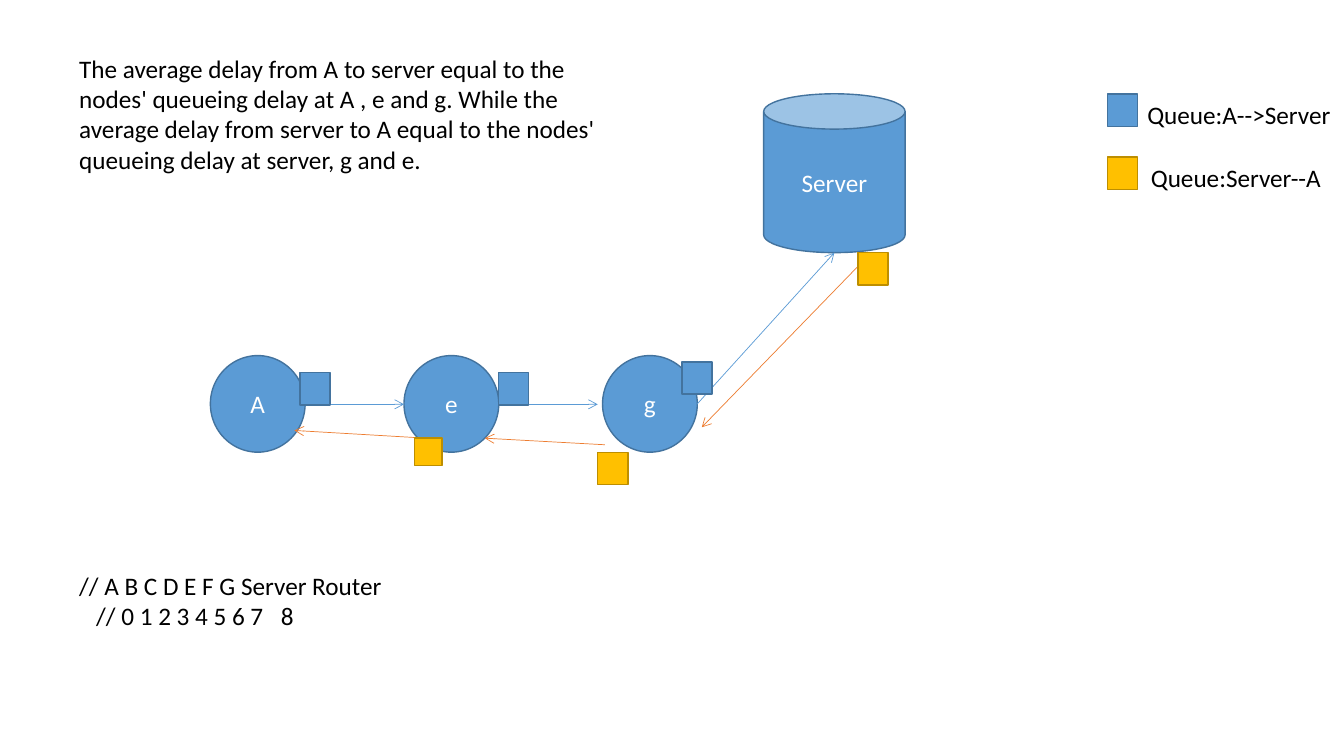
from lxml import etree
from pptx import Presentation
from pptx.dml.color import RGBColor
from pptx.enum.shapes import MSO_CONNECTOR, MSO_SHAPE
from pptx.enum.text import MSO_ANCHOR, MSO_AUTO_SIZE, PP_ALIGN
from pptx.oxml.ns import qn
from pptx.util import Pt

OVAL, CAN, RECTANGLE = MSO_SHAPE.OVAL, MSO_SHAPE.CAN, MSO_SHAPE.RECTANGLE
STRAIGHT = MSO_CONNECTOR.STRAIGHT
LEFT, CENTER = PP_ALIGN.LEFT, PP_ALIGN.CENTER
TOP, MIDDLE = MSO_ANCHOR.TOP, MSO_ANCHOR.MIDDLE
GROW = MSO_AUTO_SIZE.SHAPE_TO_FIT_TEXT

COLORS = {
    "blue": "5B9BD5",
    "blue_edge": "43739E",
    "gold": "FFC000",
    "gold_edge": "BD8E00",
    "orange": "ED7D31",
    "black": "000000",
    "white": "FFFFFF",
}


def write_text(shape, text, color="black", align=LEFT, anchor=TOP, wrap=True, size=18):
    frame = shape.text_frame
    frame.text = text
    frame.word_wrap = wrap
    frame.vertical_anchor = anchor
    for paragraph in frame.paragraphs:
        paragraph.alignment = align
        for run in paragraph.runs:
            run.font.name = "Calibri"
            run.font.size = Pt(size)
            run.font.color.rgb = RGBColor.from_string(COLORS[color])


def add_filled_shape(kind, left, top, width, height, color):
    shape = slide.shapes.add_shape(kind, Pt(left), Pt(top), Pt(width), Pt(height))
    shape.shadow.inherit = False
    shape.fill.solid()
    shape.fill.fore_color.rgb = RGBColor.from_string(COLORS[color])
    shape.line.color.rgb = RGBColor.from_string(COLORS[color + "_edge"])
    shape.line.width = Pt(1)
    return shape


presentation = Presentation()
presentation.slide_width = Pt(960)
presentation.slide_height = Pt(540)
slide = presentation.slides.add_slide(presentation.slide_layouts[6])

nodes = [
    ("A", OVAL, 150.3, 254, 67.7, 69),
    ("e", OVAL, 288.6, 254, 67.7, 69),
    ("g", OVAL, 430.4, 254, 67.7, 69),
    ("Server", CAN, 545.5, 67, 101, 113.5),
]
for label, kind, left, top, width, height in nodes:
    node = add_filled_shape(kind, left, top, width, height, "blue")
    write_text(node, label, color="white", align=CENTER, anchor=MIDDLE)

arrows = [
    ("blue", 217.7, 288.8, 288.6, 288.8),
    ("blue", 356.3, 288.8, 427, 288.8),
    ("blue", 497.8, 288.8, 596, 180.5),
    ("orange", 612.8, 190.3, 501.3, 305.2),
    ("orange", 432, 317.7, 346.3, 313),
    ("orange", 296, 312.5, 210.3, 307.5),
]
for color, start_x, start_y, end_x, end_y in arrows:
    arrow = slide.shapes.add_connector(
        STRAIGHT, Pt(start_x), Pt(start_y), Pt(end_x), Pt(end_y)
    )
    arrow.line.color.rgb = RGBColor.from_string(COLORS[color])
    arrow.line.width = Pt(0.5)
    etree.SubElement(arrow.line._get_or_add_ln(), qn("a:tailEnd"), type="arrow")
    etree.SubElement(arrow._element.spPr, qn("a:effectLst"))

queues = [
    ("blue", 214.3, 266.3, 21.5, 23),
    ("blue", 356.3, 266.3, 21.5, 23),
    ("blue", 487.2, 258.5, 21.5, 23),
    ("gold", 296, 313, 19.8, 19.5),
    ("gold", 427, 323.3, 21.5, 23),
    ("gold", 612.8, 180.5, 21.5, 23),
    ("blue", 791, 67.2, 21.5, 23),
    ("gold", 791, 112.2, 21.5, 23),
]
for color, left, top, width, height in queues:
    add_filled_shape(RECTANGLE, left, top, width, height, color)

explanation = (
    "The average delay from A to server equal to the nodes' queueing delay at A , e and g. "
    "While the average delay from server to A equal to the nodes' queueing delay at server, "
    "g and e."
)
index_table = "// A B C D E F G Server Router\n// 0 1 2 3 4 5 6 7\t8"
texts = [
    ("Queue:A-->Server", 812.4, 67.2, 145.4, 29, False),
    ("Queue:Server--A", 815, 112.2, 136, 29, False),
    (explanation, 49.5, 34.5, 386, 94.5, True),
    (index_table, 49.5, 404, 266.5, 51, True),
]
for text, left, top, width, height, wrap in texts:
    box = slide.shapes.add_textbox(Pt(left), Pt(top), Pt(width), Pt(height))
    write_text(box, text, wrap=wrap)
    box.text_frame.auto_size = GROW

index_properties = box.text_frame.paragraphs[1]._p.get_or_add_pPr()
index_properties.set("marL", "0")
index_properties.set("indent", str(Pt(12.2)))
tab_stops = etree.SubElement(index_properties, qn("a:tabLst"))
etree.SubElement(tab_stops, qn("a:tab"), pos=str(Pt(155.3)), algn="l")

presentation.save("out.pptx")
